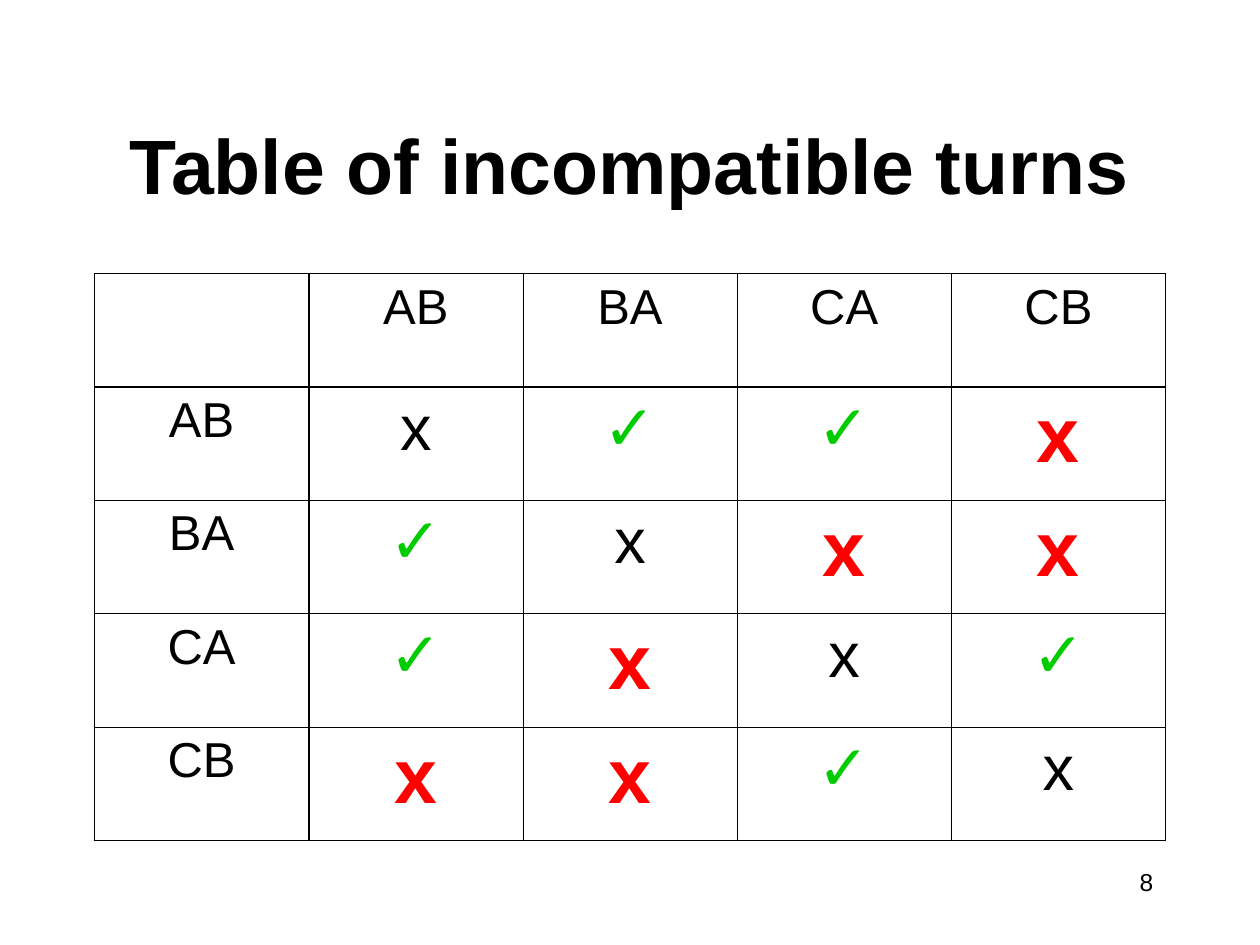
import pptx
import pptx.dml.color
import pptx.enum.text
import pptx.oxml
import pptx.oxml.ns
import pptx.util
from pptx.util import Inches

FONT = "Arial"
BLACK, GREEN, RED = "000000", "00CC00", "FF0000"
TURNS = ["AB", "BA", "CA", "CB"]
COMPATIBILITY = ["x✓✓x", "✓xxx", "✓xx✓", "xx✓x"]
EDGE_WIDTHS = [1.08, 1.47, 0.45, 0.45, 0.45, 1.08]
CENTER = pptx.enum.text.PP_ALIGN.CENTER
RIGHT = pptx.enum.text.PP_ALIGN.RIGHT


def color(hex_string):
    return pptx.dml.color.RGBColor.from_string(hex_string)


def write_text(paragraph, text, size, hex_color=BLACK, bold=False, align=CENTER):
    paragraph.alignment = align
    run = paragraph.add_run()
    run.text = text
    run.font.name = FONT
    run.font.size = pptx.util.Pt(size)
    run.font.bold = bold
    run.font.color.rgb = color(hex_color)


def add_text_box(slide, left, top, width, height, text, size, anchor, **style):
    shape = slide.shapes.add_textbox(
        Inches(left), Inches(top), Inches(width), Inches(height))
    shape.text_frame.word_wrap = True
    shape.text_frame.vertical_anchor = anchor
    write_text(shape.text_frame.paragraphs[0], text, size, **style)


def set_borders(cell, row, column):
    """Give each side the width of the grid edge it lies on."""
    properties = cell._tc.get_or_add_tcPr()
    sides = {"L": column, "R": column + 1, "T": row, "B": row + 1}
    for side, edge in sides.items():
        width = pptx.util.Pt(EDGE_WIDTHS[edge])
        properties.append(pptx.oxml.parse_xml(
            f'<a:ln{side} {pptx.oxml.ns.nsdecls("a")} w="{width}">'
            f'<a:solidFill><a:srgbClr val="{BLACK}"/></a:solidFill></a:ln{side}>'))


def cell_content(row, column):
    """Return text, size, colour, boldness and space before."""
    if row == 0 or column == 0:
        return TURNS[row + column - 1], 28, BLACK, False, 7
    mark = COMPATIBILITY[row - 1][column - 1]
    if mark == "✓":
        return mark, 36, GREEN, False, 9
    if row == column:
        return mark, 36, BLACK, False, 9
    return mark, 44, RED, True, 11


def add_turn_table(slide):
    count = len(TURNS) + 1
    table = slide.shapes.add_table(
        count, count, Inches(0.75), Inches(2.17), Inches(8.5), Inches(4.5)).table
    table.first_row = False
    table.horz_banding = False
    for row in range(count):
        for column in range(count):
            cell = table.cell(row, column)
            set_borders(cell, row, column)
            cell.fill.background()
            if row == column == 0:
                continue
            text, size, hex_color, bold, space = cell_content(row, column)
            paragraph = cell.text_frame.paragraphs[0]
            paragraph.space_before = pptx.util.Pt(space)
            write_text(paragraph, text, size, hex_color, bold)


def main():
    presentation = pptx.Presentation()
    presentation.slide_width = Inches(10)
    presentation.slide_height = Inches(7.5)
    slide = presentation.slides.add_slide(presentation.slide_layouts[6])
    anchors = pptx.enum.text.MSO_ANCHOR
    add_text_box(slide, 0.75, 0.67, 8.5, 1.25, "Table of incompatible turns",
                 44, anchors.MIDDLE, bold=True)
    add_turn_table(slide)
    add_text_box(slide, 7.17, 6.83, 2.08, 0.5, "8", 14, anchors.TOP, align=RIGHT)
    presentation.save("out.pptx")


if __name__ == "__main__":
    main()
